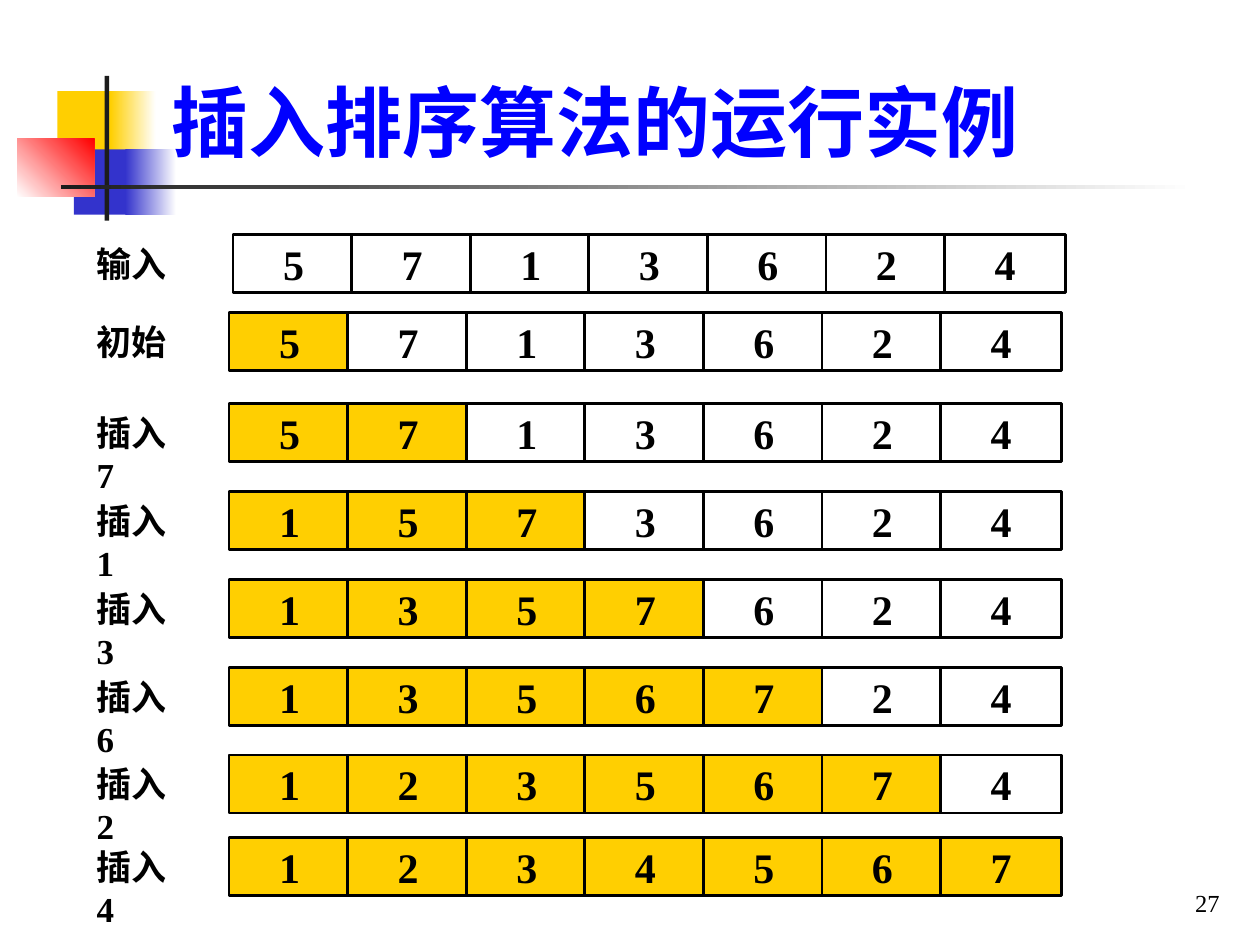
import pptx
import pptx.dml.color
import pptx.enum.shapes
import pptx.enum.text
import pptx.util

Cm = pptx.util.Cm
FONT = "Times New Roman"
BLACK = "000000"
WHITE = "FFFFFF"
GOLD = "FFCF01"
BLUE = "3333CC"
DARK = "1C1C1C"
VALUES = [5, 7, 1, 3, 6, 2, 4]
CELL_WIDTH, CELL_HEIGHT, CELL_PITCH = 2.44, 1.17, 2.39
ARRAY_OFFSET = 2.92


def color(value):
    return pptx.dml.color.RGBColor.from_string(value)


def write(shape, text, size, text_color=BLACK, bold=True, align="LEFT", anchor="TOP"):
    frame = shape.text_frame
    frame.text = text
    frame.word_wrap = True
    frame.auto_size = pptx.enum.text.MSO_AUTO_SIZE.NONE
    frame.vertical_anchor = getattr(pptx.enum.text.MSO_ANCHOR, anchor)
    paragraph = frame.paragraphs[0]
    paragraph.alignment = getattr(pptx.enum.text.PP_ALIGN, align)
    font = paragraph.runs[0].font
    font.name = FONT
    font.size = pptx.util.Pt(size)
    font.bold = bold
    font.color.rgb = color(text_color)


def add_rectangle(shapes, left, top, width, height, fill, end_fill=None, angle=0):
    shape = shapes.add_shape(
        pptx.enum.shapes.MSO_SHAPE.RECTANGLE, Cm(left), Cm(top), Cm(width), Cm(height)
    )
    shape.shadow.inherit = False
    shape.line.fill.background()
    if end_fill:
        shape.fill.gradient()
        shape.fill.gradient_angle = angle
        for stop, stop_color in zip(shape.fill.gradient_stops, (fill, end_fill)):
            stop.color.rgb = color(stop_color)
    else:
        shape.fill.solid()
        shape.fill.fore_color.rgb = color(fill)
    return shape


def add_decoration(slide, left, top):
    parts = [
        (0.81, 0.31, 1.22, 1.32, GOLD),
        (1.88, 0.31, 0.91, 1.32, GOLD, WHITE),
        (1.14, 1.48, 1.17, 1.32, BLUE),
        (2.18, 1.48, 1.02, 1.32, BLUE, WHITE),
        (0, 1.27, 1.55, 1.17, WHITE, "FF0000", 45),
        (1.76, 0, 0.09, 2.92, DARK),
        (0.88, 2.2, 22.86, 0.09, DARK, WHITE),
    ]
    for x, y, *rest in parts:
        add_rectangle(slide.shapes, left + x, top + y, *rest)


def add_title(slide, left, top, width, height):
    title = slide.shapes.title
    title.left, title.top = Cm(left), Cm(top)
    title.width, title.height = Cm(width), Cm(height)
    write(title, "插入排序算法的运行实例", 44, "0000FF", anchor="BOTTOM")
    slide.shapes._spTree.append(title._element)


def add_page_number(slide, left, top, width, height):
    box = slide.shapes.add_textbox(Cm(left), Cm(top), Cm(width), Cm(height))
    write(box, "27", 14, bold=False, align="RIGHT", anchor="BOTTOM")


def add_array_row(slide, left, top, label, values, sorted_count, shift=0):
    shapes = slide.shapes.add_group_shape().shapes
    for index, value in enumerate(values):
        cell = add_rectangle(
            shapes,
            left + ARRAY_OFFSET + shift + index * CELL_PITCH,
            top,
            CELL_WIDTH,
            CELL_HEIGHT,
            GOLD if index < sorted_count else WHITE,
        )
        cell.line.color.rgb = color(BLACK)
        cell.line.width = pptx.util.Pt(1.5)
        write(cell, str(value), 24, align="CENTER", anchor="MIDDLE")
    box = shapes.add_textbox(Cm(left), Cm(top + 0.03), Cm(2.2), Cm(1.12))
    write(box, label, 20)


def add_sorting_steps(slide, left, top):
    add_array_row(slide, left, top, "输入", VALUES, 0, shift=0.08)
    step_offsets = [1.57, 3.41, 5.18, 6.95, 8.73, 10.49, 12.16]
    for count, offset in enumerate(step_offsets, start=1):
        label = "初始" if count == 1 else f"插入{VALUES[count - 1]}"
        values = sorted(VALUES[:count]) + VALUES[count:]
        add_array_row(slide, left, top + offset, label, values, count)


def main():
    presentation = pptx.Presentation()
    presentation.slide_width, presentation.slide_height = Cm(25.4), Cm(19.05)
    slide = presentation.slides.add_slide(presentation.slide_layouts[5])
    add_decoration(slide, 0.35, 1.53)
    add_title(slide, 3.2, 0.58, 21.64, 2.92)
    add_page_number(slide, 19.56, 17.35, 5.28, 1.27)
    add_sorting_steps(slide, 1.7, 4.73)
    presentation.save("out.pptx")


if __name__ == "__main__":
    main()
